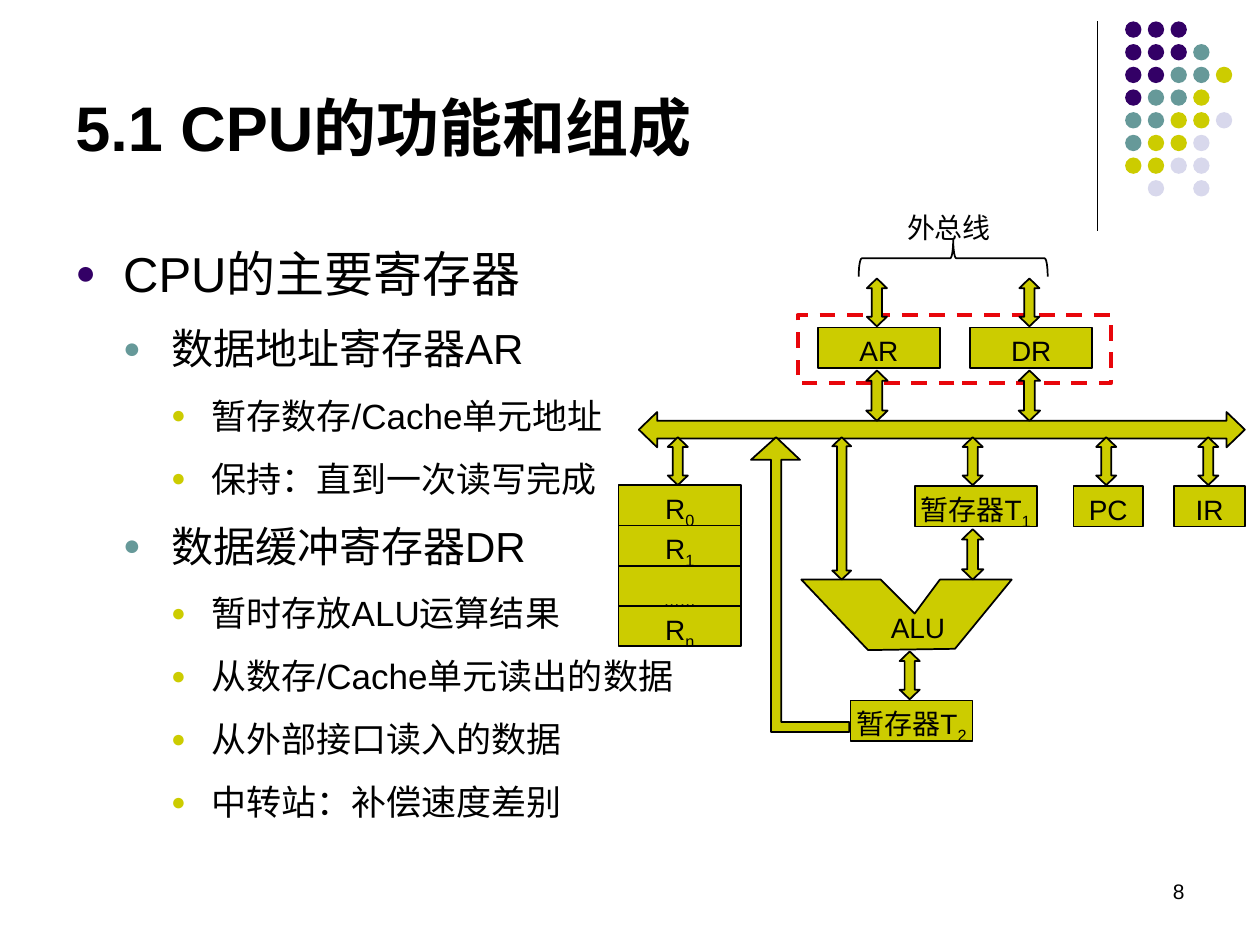
from dataclasses import dataclass
from lxml import etree
from pptx import Presentation
from pptx import util as u
from pptx.dml import color
from pptx.enum import dml, shapes, text
from pptx.oxml import ns


@dataclass(frozen=True)
class Theme:
    font: str = "Arial"
    ink: str = "000000"
    paper: str = "FFFFFF"
    violet: str = "330066"
    teal: str = "669999"
    lime: str = "CCCC00"
    pale: str = "D8D8EC"
    red: str = "E8060B"
    title: int = 36
    levels: tuple = (28, 24, 20)
    label: int = 16
    page: int = 12


T = Theme()
KIND = shapes.MSO_SHAPE
ALIGN = text.PP_ALIGN
ANCHOR = text.MSO_ANCHOR


def rgb(code):
    return color.RGBColor.from_string(code)


def style(para, size, bold=False):
    for run in para.runs:
        font = run.font
        font.name, font.size, font.bold = T.font, u.Pt(size), bold
        font.color.rgb = rgb(T.ink)


def paint(shape, fill=T.lime, line=T.ink, width=1):
    shape.shadow.inherit = False
    if fill:
        shape.fill.solid()
        shape.fill.fore_color.rgb = rgb(fill)
    else:
        shape.fill.background()
    if line:
        shape.line.color.rgb = rgb(line)
        shape.line.width = u.Pt(width)
    else:
        shape.line.fill.background()


def add(slide, kind, x, y, w, h):
    return slide.shapes.add_shape(kind, *map(u.Inches, (x, y, w, h)))


def write(slide, box, words, size, align=ALIGN.LEFT, anchor=ANCHOR.TOP,
          bold=False):
    frame = slide.shapes.add_textbox(*map(u.Inches, box)).text_frame
    frame.word_wrap, frame.vertical_anchor = True, anchor
    frame.text = words
    frame.paragraphs[0].alignment = align
    style(frame.paragraphs[0], size, bold)


def dots(slide, box):
    left, top, w, h = box
    rule = slide.shapes.add_connector(
        shapes.MSO_CONNECTOR.STRAIGHT,
        *map(u.Inches, (left, top, left, top + h)))
    rule.line.color.rgb, rule.line.width = rgb(T.ink), u.Pt(0.75)
    etree.SubElement(rule._element.spPr, ns.qn("a:effectLst"))
    hues = {"v": T.violet, "t": T.teal, "l": T.lime, "p": T.pale}
    rows = ("vvv", "vvvt", "vvttl", "vttl", "ttllp", "tllp", "llpp", " p p")
    size, gap = 0.13, 0.18
    for r, row in enumerate(rows):
        for c, key in enumerate(row):
            if key in hues:
                x = left + w - 4 * gap - size + c * gap
                dot = add(slide, KIND.OVAL, x, top + r * gap, size, size)
                paint(dot, hues[key], None)


def bullet(para, level):
    indent, hang = ((0.38, 0.38), (0.76, 0.38), (1.08, 0.32))[level]
    para.level = level
    props = para._p.get_or_add_pPr()
    props.set("marL", str(u.Inches(indent)))
    props.set("indent", str(-u.Inches(hang)))
    hue = etree.SubElement(props, ns.qn("a:buClr"))
    code = (T.violet, T.teal, T.lime)[level]
    etree.SubElement(hue, ns.qn("a:srgbClr"), val=code)
    etree.SubElement(props, ns.qn("a:buSzPct"), val="70000")
    etree.SubElement(props, ns.qn("a:buFont"), typeface=T.font)
    etree.SubElement(props, ns.qn("a:buChar"), char="●")


def outline(slide, box, items):
    frame = slide.shapes.add_textbox(*map(u.Inches, box)).text_frame
    frame.word_wrap = True
    for i, (level, words) in enumerate(items):
        para = frame.add_paragraph() if i else frame.paragraphs[0]
        para.text = words
        bullet(para, level)
        para.space_before = u.Pt(12 if i else 0)
        style(para, T.levels[level])


def label(shape, words, sub=""):
    frame = shape.text_frame
    frame.word_wrap, frame.vertical_anchor = False, ANCHOR.TOP
    para = frame.paragraphs[0]
    para.alignment = ALIGN.CENTER
    if words:
        para.add_run().text = words
    if sub:
        run = para.add_run()
        run.text = sub
        run._r.get_or_add_rPr().set("baseline", "-25000")
    style(para, T.label)


def cell(slide, x, y, words, sub="", w=0.97):
    shape = add(slide, KIND.RECTANGLE, x, y, w, 0.32)
    paint(shape)
    label(shape, words, sub)


def arrow(slide, mid, top, span=0.38, thick=0.16):
    shape = add(slide, KIND.LEFT_RIGHT_ARROW, mid - span / 2,
                top + span / 2 - thick / 2, span, thick)
    shape.rotation = 270
    shape.adjustments[1] = 0.48
    paint(shape)


def poly(slide, left, top, points):
    pts = [(u.Inches(left + x), u.Inches(top + y)) for x, y in points]
    path = slide.shapes.build_freeform(*pts[0], scale=1.0)
    path.add_line_segments(pts[1:], close=True)
    shape = path.convert_to_shape()
    paint(shape)
    return shape


def datapath(slide, box):
    left, top, w, h = box
    frame = add(slide, KIND.RECTANGLE, left + 1.43, top + 0.9, 2.49, 0.54)
    paint(frame, None, T.red, 2.25)
    frame.line.dash_style = dml.MSO_LINE.DASH
    bus = add(slide, KIND.LEFT_RIGHT_ARROW,
              left + 0.17, top + 1.67, w - 0.17, 0.28)
    bus.adjustments[1] = 0.52
    paint(bus)

    for x, name in ((1.59, "AR"), (2.8, "DR")):
        mid = left + x + 0.47
        cell(slide, left + x, top + 1, name)
        arrow(slide, mid, top + 0.61)
        arrow(slide, mid, top + 1.34, 0.4, 0.17)

    for x, name, sub, wide in ((2.36, "暂存器T", "1", 0.97),
                               (3.62, "PC", "", 0.55), (4.42, "IR", "", 0.56)):
        cell(slide, left + x, top + 2.26, name, sub, wide)
    for x in (0.48, 2.82, 3.88, 4.69):
        arrow(slide, left + x, top + 1.87)
    for i, (name, sub) in enumerate((("R", "0"), ("R", "1"),
                                     ("", "……"), ("R", "n"))):
        cell(slide, left + 0.01, top + 2.25 + i * 0.32, name, sub)

    alu = poly(slide, left, top, (
        (1.46, 3), (2.09, 3), (2.36, 3.27), (2.56, 3),
        (3.13, 3), (2.68, 3.55), (1.99, 3.56)))
    label(alu, "ALU")
    alu.text_frame.vertical_anchor = ANCHOR.BOTTOM
    alu.text_frame.margin_left = u.Inches(0.28)
    arrow(slide, left + 1.78, top + 1.87, 1.13, 0.15)
    arrow(slide, left + 2.82, top + 2.6, 0.4, 0.17)
    arrow(slide, left + 2.32, top + 3.57)
    cell(slide, left + 1.85, top + 3.96, "暂存器T", "2")
    poly(slide, left, top, (
        (1.84, 4.13), (1.3, 4.13), (1.3, 2.05), (1.45, 2.05), (1.26, 1.87),
        (1.06, 2.05), (1.22, 2.05), (1.22, 4.21), (1.84, 4.21)))

    brace = add(slide, KIND.LEFT_BRACE, left + 2.52, top - 0.3, 0.29, 1.5)
    brace.rotation = 90
    paint(brace, T.paper)
    write(slide, (left + 2.2, top + 0.02, 0.95, 0.37), "外总线", T.label)


def main():
    deck = Presentation()
    deck.slide_width, deck.slide_height = u.Inches(10), u.Inches(7.5)
    slide = deck.slides.add_slide(deck.slide_layouts[6])
    dots(slide, (8.71, 0.17, 1.07, 1.66))
    write(slide, (0.5, 0.29, 8.25, 1.42), "5.1 CPU的功能和组成", T.title,
          anchor=ANCHOR.MIDDLE, bold=True)
    outline(slide, (0.5, 1.88, 9, 4.82), (
        (0, "CPU的主要寄存器"),
        (1, "数据地址寄存器AR"),
        (2, "暂存数存/Cache单元地址"),
        (2, "保持：直到一次读写完成"),
        (1, "数据缓冲寄存器DR"),
        (2, "暂时存放ALU运算结果"),
        (2, "从数存/Cache单元读出的数据"),
        (2, "从外部接口读入的数据"),
        (2, "中转站：补偿速度差别")))
    write(slide, (7.17, 6.82, 2.33, 0.5), "8", T.page,
          ALIGN.RIGHT, ANCHOR.MIDDLE)
    datapath(slide, (4.9, 1.6, 4.98, 4.28))
    deck.save("out.pptx")


if __name__ == "__main__":
    main()
